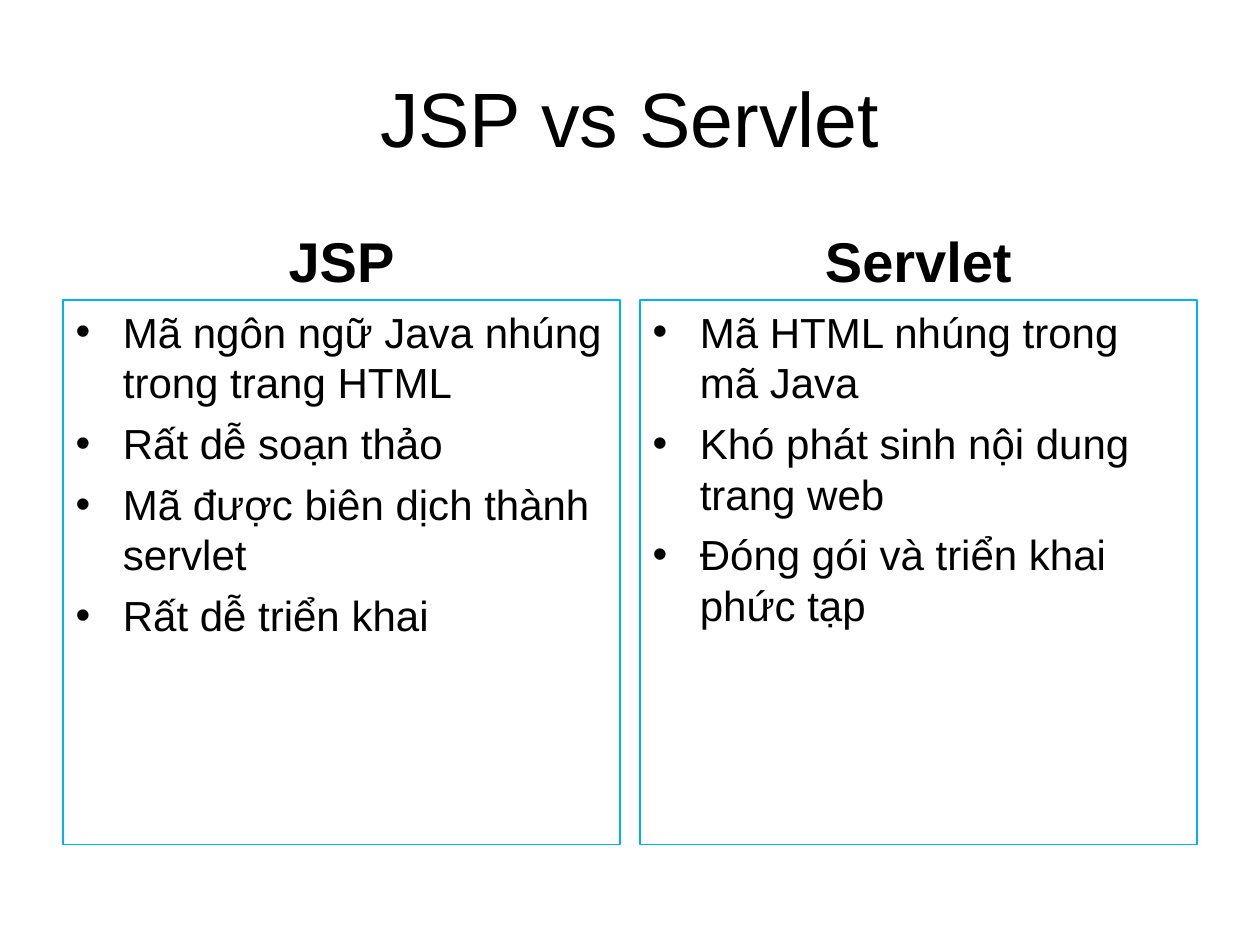
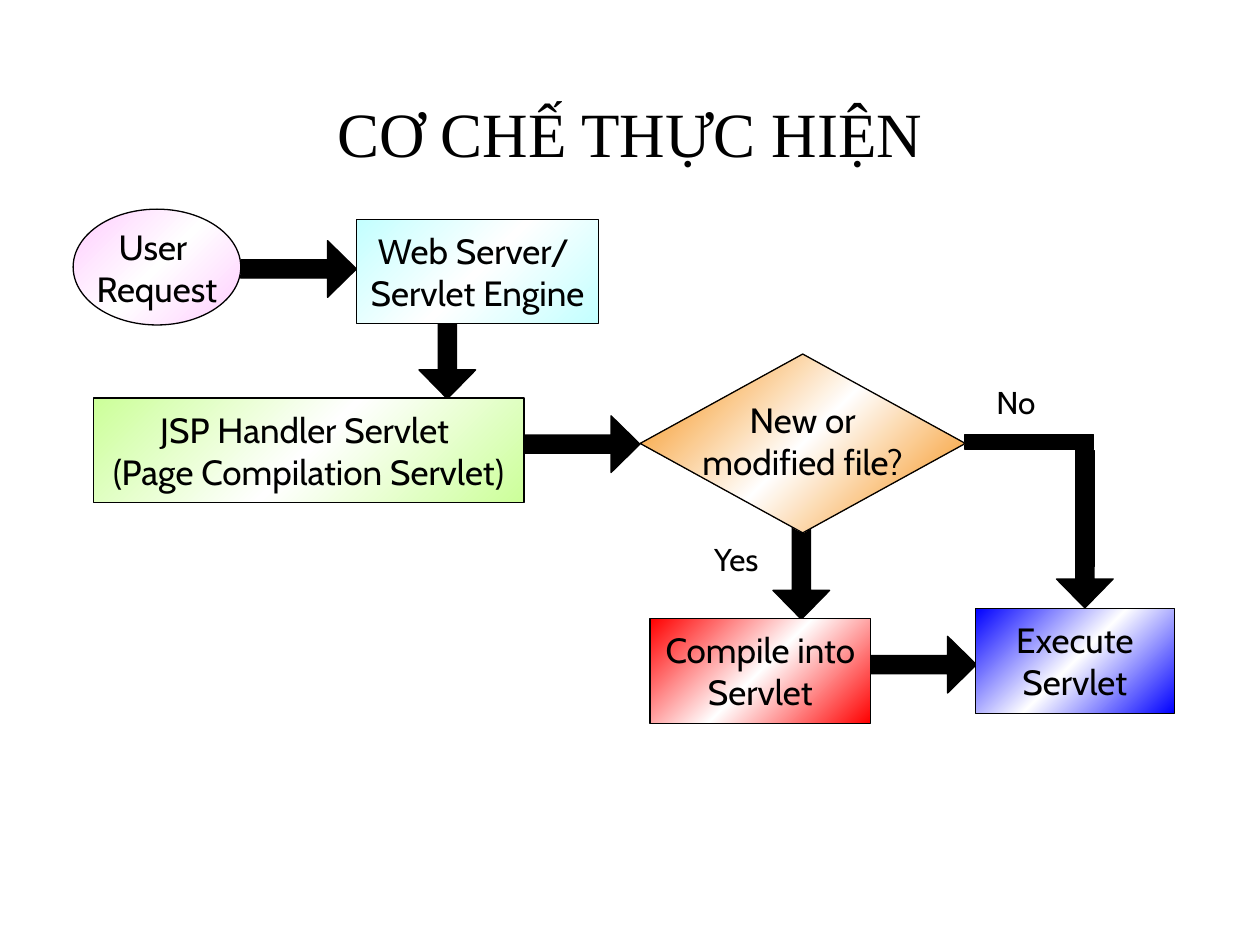
from pptx import Presentation
from pptx.dml.color import RGBColor
from pptx.enum.shapes import MSO_SHAPE as Preset
from pptx.enum.text import MSO_ANCHOR as Anchor, MSO_AUTO_SIZE as AutoSize, PP_ALIGN as Align
from pptx.oxml import parse_xml
from pptx.oxml.ns import nsdecls, qn
from pptx.util import Pt
from copy import deepcopy

BLACK = RGBColor(0x00, 0x00, 0x00)
WHITE = RGBColor(0xFF, 0xFF, 0xFF)
FRAME_CYAN = RGBColor(0x00, 0xB0, 0xF0)
PINK = RGBColor(0xFF, 0xCC, 0xFF)
PALE_CYAN = RGBColor(0xC3, 0xFF, 0xFF)
LIME = RGBColor(0xCC, 0xFF, 0x99)
ORANGE = RGBColor(0xF5, 0x88, 0x03)
RED = RGBColor(0xFF, 0x00, 0x00)
BLUE = RGBColor(0x00, 0x00, 0xFF)

SLIDE_WIDTH, SLIDE_HEIGHT = 720, 540
COMPARISON_LAYOUT, TITLE_ONLY_LAYOUT = 4, 5
LINE_WIDTH = 0.75

# Comparison: one column per entry
COLUMNS = [
    ("JSP", [
        "Mã ngôn ngữ Java nhúng trong trang HTML",
        "Rất dễ soạn thảo",
        "Mã được biên dịch thành servlet",
        "Rất dễ triển khai",
    ]),
    ("Servlet", [
        "Mã HTML nhúng trong mã Java",
        "Khó phát sinh nội dung trang web",
        "Đóng gói và triển khai phức tạp",
    ]),
]
MARGIN, COLUMN_WIDTH = 36, 318.3
HEADING_TOP, HEADING_HEIGHT = 121, 50.4
LIST_HEIGHT = 311.2
BULLET_INDENT = 27

# Flow chart: preset, (left, top, width, height), colour, text
NODES = [
    (Preset.OVAL, (41.8, 119.5, 95.8, 66.2), PINK, "User \nRequest"),
    (Preset.RECTANGLE, (203.8, 125.3, 138.2, 59.8), PALE_CYAN, "Web Server/ \nServlet Engine"),
    (Preset.RECTANGLE, (53.3, 227.5, 246.2, 59.8), LIME,
     "JSP Handler Servlet \n(Page Compilation Servlet)"),
    (Preset.DIAMOND, (365.8, 202.3, 185.8, 102.2), ORANGE, "New or\nmodified file?"),
    (Preset.RECTANGLE, (371.5, 353.5, 126, 59.8), RED, "Compile into\nServlet"),
    (Preset.RECTANGLE, (557.3, 347.8, 113.8, 59.8), BLUE, "Execute\nServlet"),
]
ARROW_SIZE = (66.2, 32.4)
# left, top, rotation
ARROWS = [
    (137.5, 137.5, 0),
    (222.5, 178.6, 90),
    (299.5, 237.6, 0),
    (424.8, 304.6, 90),
    (491.8, 363.6, 0),
    (586.8, 298.1, 90),
]
NO_BRANCH_BARS = [(551.5, 248.4, 73.4, 8.6), (614.5, 257.4, 10.8, 66.2)]
BRANCH_LABELS = [("Yes", (401, 305.3, 43.2, 28.8)), ("No", (562.3, 215.3, 38.9, 28.8))]


def place(shape, left, top, width, height):
    shape.left, shape.top = Pt(left), Pt(top)
    shape.width, shape.height = Pt(width), Pt(height)


def write(shape, text, size, font_name, alignment=Align.CENTER, bold=False, space_before=0):
    """Set the text and format it; the first paragraph gets no space before."""
    shape.text_frame.text = text
    for index, paragraph in enumerate(shape.text_frame.paragraphs):
        paragraph.alignment = alignment
        paragraph.space_before = Pt(space_before if index else 0)
        for run in paragraph.runs:
            font = run.font
            font.size, font.name, font.bold = Pt(size), font_name, bold
            font.color.rgb = BLACK


def add_title(slide, text, frame, size, font_name):
    title = slide.shapes.title
    place(title, *frame)
    write(title, text, size, font_name)
    title.text_frame.vertical_anchor = Anchor.MIDDLE


def add_bullets(paragraph):
    properties = paragraph._p.get_or_add_pPr()
    properties.set("marL", str(Pt(BULLET_INDENT)))
    properties.set("indent", str(-Pt(BULLET_INDENT)))
    for element in (f'<a:buClr {nsdecls("a")}><a:srgbClr val="{BLACK}"/></a:buClr>',
                    f'<a:buFont {nsdecls("a")} typeface="Arial"/>',
                    f'<a:buChar {nsdecls("a")} char="•"/>'):
        properties.append(parse_xml(element))


def add_block(slide, preset, frame, rotation=0):
    shape = slide.shapes.add_shape(preset, *map(Pt, frame))
    shape.shadow.inherit = False
    shape.rotation = rotation
    shape.fill.solid()
    shape.fill.fore_color.rgb = BLACK
    shape.line.color.rgb = BLACK
    shape.line.width = Pt(LINE_WIDTH)
    return shape


def fill_with_white_sheen(shape, color):
    """Diagonal gradient from the colour through white and back."""
    shape.fill.gradient()
    shape.fill.gradient_angle = 315
    stop_list = shape._element.spPr.find(".//" + qn("a:gsLst"))
    stop_list.append(deepcopy(stop_list[0]))
    for stop, position, stop_color in zip(shape.fill.gradient_stops, (0, 0.5, 1),
                                          (color, WHITE, color)):
        stop.position = position
        stop.color.rgb = stop_color


def build_comparison(presentation):
    slide = presentation.slides.add_slide(presentation.slide_layouts[COMPARISON_LAYOUT])
    add_title(slide, "JSP vs Servlet", (MARGIN, 21.6, SLIDE_WIDTH - 2 * MARGIN, 90), 44, "Arial")
    lefts = (MARGIN, SLIDE_WIDTH - MARGIN - COLUMN_WIDTH)
    for index, (left, (heading_text, items)) in enumerate(zip(lefts, COLUMNS)):
        heading = slide.placeholders[1 + 2 * index]
        place(heading, left, HEADING_TOP, COLUMN_WIDTH, HEADING_HEIGHT)
        write(heading, heading_text, 32, "Arial", bold=True)
        heading.text_frame.vertical_anchor = Anchor.BOTTOM

        listing = slide.placeholders[2 + 2 * index]
        place(listing, left, HEADING_TOP + HEADING_HEIGHT, COLUMN_WIDTH, LIST_HEIGHT)
        listing.line.color.rgb = FRAME_CYAN
        listing.line.width = Pt(LINE_WIDTH)
        write(listing, "\n".join(items), 24, "Arial", Align.LEFT, space_before=6)
        listing.text_frame.auto_size = AutoSize.NONE
        for paragraph in listing.text_frame.paragraphs:
            add_bullets(paragraph)


def build_flow_chart(presentation):
    slide = presentation.slides.add_slide(presentation.slide_layouts[TITLE_ONLY_LAYOUT])
    add_title(slide, "CƠ CHẾ THỰC HIỆN", (0, 48.2, SLIDE_WIDTH, 54.7), 36, "Times New Roman")
    for left, top, rotation in ARROWS:
        arrow = add_block(slide, Preset.RIGHT_ARROW, (left, top, *ARROW_SIZE), rotation)
        arrow.adjustments[0], arrow.adjustments[1] = 0.32, 0.51
    for frame in NO_BRANCH_BARS:
        add_block(slide, Preset.RECTANGLE, frame)
    for preset, frame, color, text in NODES:
        node = add_block(slide, preset, frame)
        fill_with_white_sheen(node, color)
        write(node, text, 20, "Cabin")
        node.text_frame.word_wrap = False
        node.text_frame.vertical_anchor = Anchor.MIDDLE
        if preset == Preset.DIAMOND:
            node.text_frame.margin_top = 0
    for text, frame in BRANCH_LABELS:
        label = slide.shapes.add_textbox(*map(Pt, frame))
        write(label, text, 18, "Cabin", Align.LEFT)
        label.text_frame.word_wrap = False


def main():
    presentation = Presentation()
    presentation.slide_width, presentation.slide_height = Pt(SLIDE_WIDTH), Pt(SLIDE_HEIGHT)
    build_comparison(presentation)
    build_flow_chart(presentation)
    presentation.save("out.pptx")


if __name__ == "__main__":
    main()
